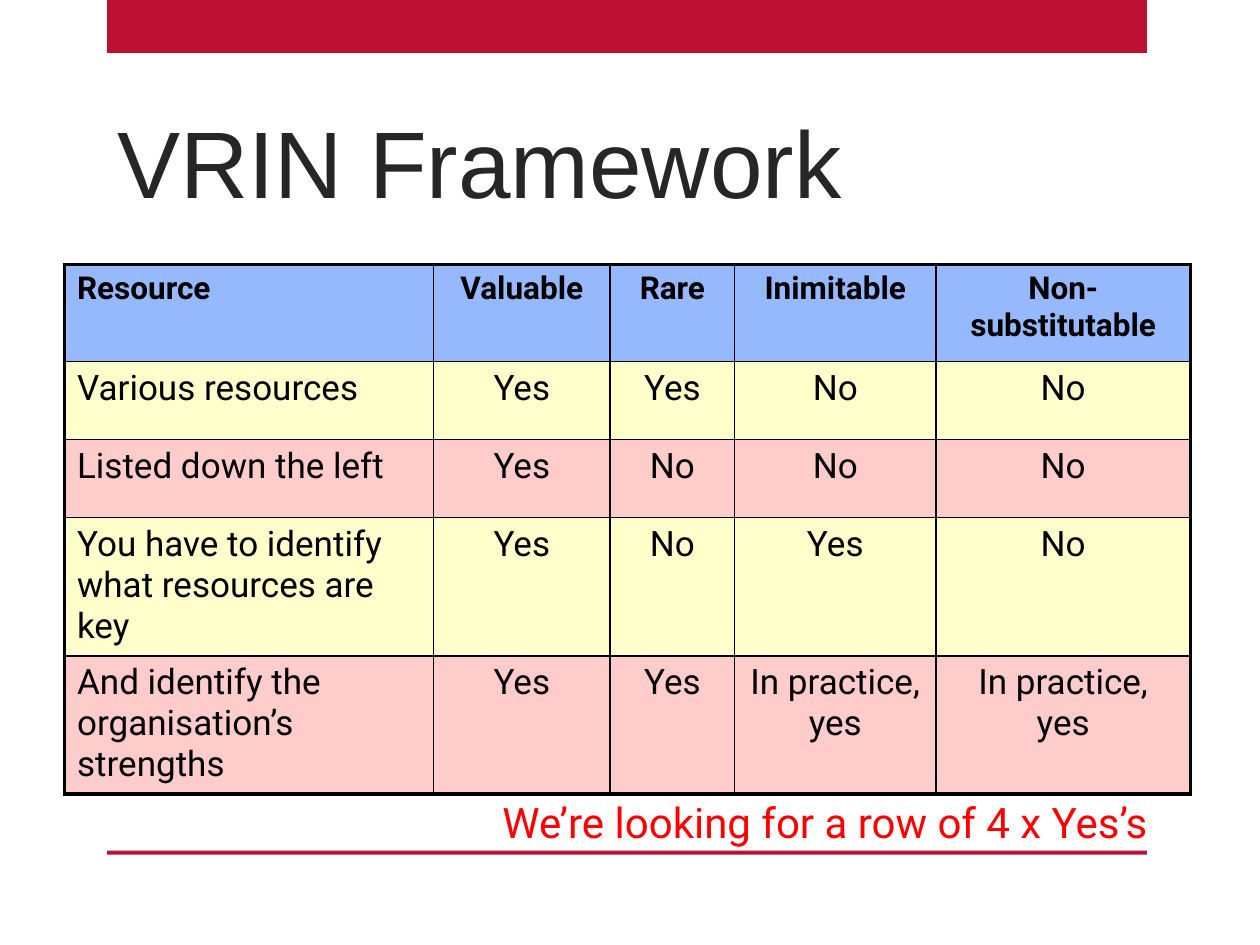
import dataclasses

import pptx
import pptx.dml.color
import pptx.enum.shapes
import pptx.enum.text
import pptx.oxml
import pptx.oxml.ns
import pptx.util

Cm = pptx.util.Cm
Pt = pptx.util.Pt
RGBColor = pptx.dml.color.RGBColor
Align = pptx.enum.text.PP_ALIGN

# Colours
RED = RGBColor(0xBE, 0x0F, 0x34)
BRIGHT = RGBColor(0xFF, 0x00, 0x00)
DARK = RGBColor(0x26, 0x26, 0x26)
BLACK = RGBColor(0x00, 0x00, 0x00)
BLUE = RGBColor(0x96, 0xB9, 0xFE)
CREAM = RGBColor(0xFF, 0xFF, 0xCC)
PINK = RGBColor(0xFF, 0xCC, 0xCC)

THIN, THICK = 1, 2.25


@dataclasses.dataclass
class Box:
    left: float
    top: float
    width: float
    height: float

    def lengths(self) -> tuple:
        return tuple(Cm(value) for value in dataclasses.astuple(self))


@dataclasses.dataclass
class Style:
    font: str
    size: float
    color: RGBColor
    bold: bool = False


@dataclasses.dataclass
class Row:
    height: float
    fill: RGBColor
    texts: tuple
    style: Style


HEAD = Style("Roboto", 18, BLACK, True)
BODY = Style("Roboto", 20, BLACK)

BARS = (Box(2.16, 0, 20.96, 1.07), Box(2.16, 17.15, 20.96, 0.08))
COLS = (7.44, 3.56, 2.51, 4.06, 5.13)
ROWS = (
    Row(1.96, BLUE, ("Resource", "Valuable", "Rare", "Inimitable", "Non-substitutable"), HEAD),
    Row(1.57, CREAM, ("Various resources", "Yes", "Yes", "No", "No"), BODY),
    Row(1.57, PINK, ("Listed down the left", "Yes", "No", "No", "No"), BODY),
    Row(2.79, CREAM, ("You have to identify what resources are key", "Yes", "No", "Yes", "No"), BODY),
    Row(2.79, PINK, ("And identify the organisation’s strengths", "Yes", "Yes",
                     "In practice, yes", "In practice, yes"), BODY),
)


def write(frame, text: str, style: Style, align=Align.LEFT) -> None:
    para = frame.paragraphs[0]
    para.alignment = align
    run = para.add_run()
    run.text = text
    run.font.name = style.font
    run.font.size = Pt(style.size)
    run.font.bold = style.bold
    run.font.color.rgb = style.color


def add_bar(slide, box: Box) -> None:
    bar = slide.shapes.add_shape(pptx.enum.shapes.MSO_SHAPE.RECTANGLE, *box.lengths())
    bar.shadow.inherit = False
    bar.fill.solid()
    bar.fill.fore_color.rgb = RED
    bar.line.fill.background()


def set_edges(cell, widths: dict) -> None:
    """Put the border lines ahead of the cell fill, as the schema asks."""
    props = cell._tc.get_or_add_tcPr()
    for spot, (side, width) in enumerate(widths.items()):
        line = pptx.oxml.parse_xml(
            f'<a:ln{side} {pptx.oxml.ns.nsdecls("a")} w="{Pt(width)}">'
            f'<a:solidFill><a:srgbClr val="{BLACK}"/></a:solidFill></a:ln{side}>')
        props.insert(spot, line)


def add_grid(slide, box: Box) -> None:
    grid = slide.shapes.add_table(len(ROWS), len(COLS), *box.lengths()).table
    for col, width in zip(grid.columns, COLS):
        col.width = Cm(width)
    for i, row in enumerate(ROWS):
        grid.rows[i].height = Cm(row.height)
        for j, text in enumerate(row.texts):
            cell = grid.cell(i, j)
            cell.fill.solid()
            cell.fill.fore_color.rgb = row.fill
            # Thick outer frame, thin inner lines
            set_edges(cell, {
                "L": THICK if j == 0 else THIN,
                "R": THICK if j == len(COLS) - 1 else THIN,
                "T": THICK if i == 0 else THIN,
                "B": THICK if i == len(ROWS) - 1 else THIN,
            })
            write(cell.text_frame, text, row.style, Align.CENTER if j else Align.LEFT)


def add_title(slide, box: Box) -> None:
    title = slide.shapes.title
    title.left, title.top, title.width, title.height = box.lengths()
    frame = title.text_frame
    frame.auto_size = pptx.enum.text.MSO_AUTO_SIZE.NONE
    frame.vertical_anchor = pptx.enum.text.MSO_ANCHOR.BOTTOM
    write(frame, "VRIN Framework", Style("Arial", 54, DARK))


def add_note(slide, box: Box) -> None:
    frame = slide.shapes.add_textbox(*box.lengths()).text_frame
    frame.word_wrap = False
    frame.auto_size = pptx.enum.text.MSO_AUTO_SIZE.SHAPE_TO_FIT_TEXT
    write(frame, "We’re looking for a row of 4 x Yes’s", Style("Roboto", 24, BRIGHT))


def main() -> None:
    deck = pptx.Presentation()
    deck.slide_width, deck.slide_height = Cm(25.4), Cm(19.05)
    slide = deck.slides.add_slide(deck.slide_layouts[5])
    for box in BARS:
        add_bar(slide, box)
    add_title(slide, Box(2.11, 1.32, 18.85, 3.2))
    add_grid(slide, Box(1.3, 5.33, sum(COLS), sum(row.height for row in ROWS)))
    add_note(slide, Box(9.88, 15.93, 13.79, 1.27))
    deck.save("out.pptx")


if __name__ == "__main__":
    main()
